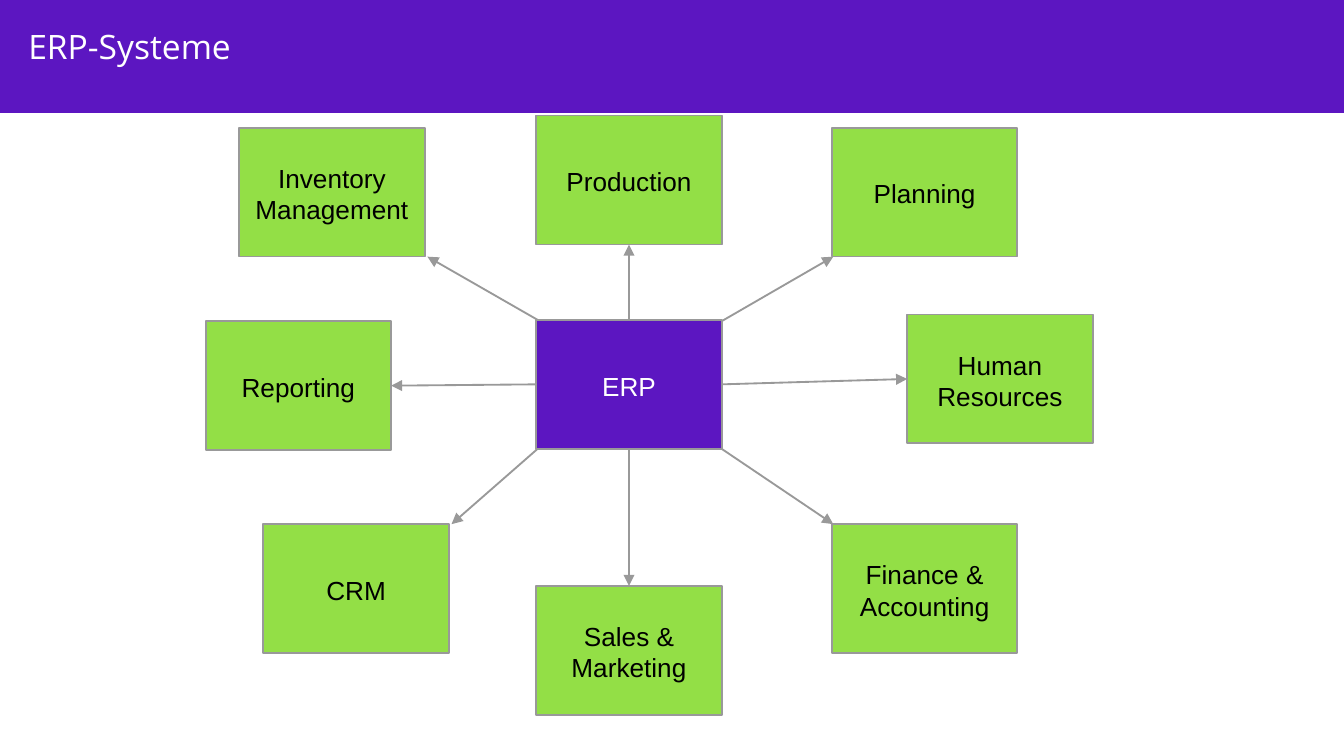
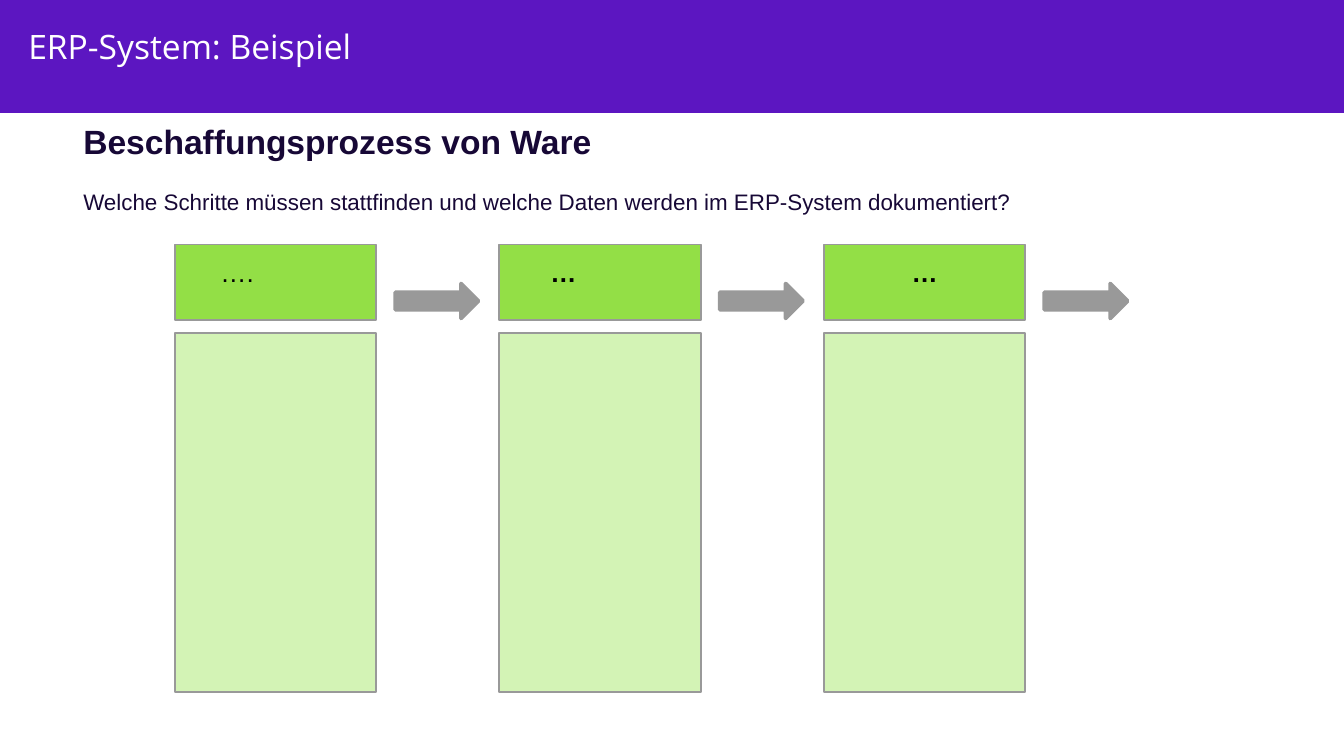
from lxml import etree
from pptx import Presentation
from pptx.dml.color import RGBColor
from pptx.enum.shapes import MSO_CONNECTOR, MSO_SHAPE
from pptx.enum.text import MSO_ANCHOR, MSO_AUTO_SIZE, PP_ALIGN
from pptx.oxml.ns import qn
from pptx.util import Inches, Pt

STRAIGHT = MSO_CONNECTOR.STRAIGHT
RECTANGLE = MSO_SHAPE.RECTANGLE
RIGHT_ARROW = MSO_SHAPE.RIGHT_ARROW
TOP, MIDDLE = MSO_ANCHOR.TOP, MSO_ANCHOR.MIDDLE
LEFT, CENTER = PP_ALIGN.LEFT, PP_ALIGN.CENTER
NO_RESIZE = MSO_AUTO_SIZE.NONE

COLORS = {
    "purple": "5C16C1",
    "green": "93DF46",
    "light_green": "D3F3B5",
    "gray": "999999",
    "navy": "170836",
    "black": "000000",
    "white": "FFFFFF",
}
PAGE_WIDTH = 10
PAGE_HEIGHT = PAGE_WIDTH * 9 / 16
BAND_HEIGHT = 0.84
TITLE_BOX = (0.19, 0.17, 5.12, 0.33)

MODULE_SIZE = (1.38, 0.96)
CORE_POSITION = (3.99, 2.38)
MODULES = {
    "Production": (3.99, 0.86),
    "Human Resources": (6.75, 2.34),
    "Finance & Accounting": (6.19, 3.9),
    "Sales & Marketing": (3.99, 4.36),
    "CRM": (1.96, 3.9),
    "Reporting": (1.53, 2.39),
    "Inventory Management": (1.78, 0.95),
    "Planning": (6.19, 0.95),
}
SIDE_LINKS = {
    "Production": (0, 2),
    "Human Resources": (3, 1),
    "Sales & Marketing": (2, 0),
    "Reporting": (1, 3),
}
CORNER_LINKS = [
    (4, 2.38, 3.18, 1.91),
    (5.37, 2.39, 6.2, 1.91),
    (5.37, 3.34, 6.2, 3.9),
    (4, 3.34, 3.36, 3.9),
]

STEPS = [
    ("….", False, LEFT, 0.34),
    ("…", True, LEFT, 0.38),
    ("…", True, CENTER, 0),
]
FIRST_STEP, LAST_STEP = 1.3, 6.13
STEP_PITCH = (LAST_STEP - FIRST_STEP) / (len(STEPS) - 1)


def rgb(color):
    return RGBColor.from_string(COLORS[color])


def inches(values):
    return [Inches(value) for value in values]


def apply(target, values):
    for name, value in values.items():
        setattr(target, name, value)


def set_frame(box, anchor, left=0, top=0.01):
    apply(box.text_frame, {
        "auto_size": NO_RESIZE,
        "word_wrap": True,
        "vertical_anchor": anchor,
        "margin_left": Inches(left),
        "margin_top": Inches(top),
        "margin_right": 0,
        "margin_bottom": 0,
    })


def write(para, text, color, size=14, bold=False, align=LEFT, font="Arial", before=0):
    apply(para, {"alignment": align, "space_before": Pt(before)})
    span = para.add_run()
    span.text = text
    apply(span.font, {"name": font, "size": Pt(size), "bold": bold})
    span.font.color.rgb = rgb(color)


def add_block(page, kind, box, fill, line="gray", width=1):
    block = page.shapes.add_shape(kind, *inches(box))
    block.shadow.inherit = False
    block.fill.solid()
    block.fill.fore_color.rgb = rgb(fill)
    if line:
        block.line.color.rgb = rgb(line)
        block.line.width = Pt(width)
    else:
        block.line.fill.background()
    return block


def add_arrow(page, points=(0, 0, 0, 0)):
    arrow = page.shapes.add_connector(STRAIGHT, *inches(points))
    arrow.line.color.rgb = rgb("gray")
    arrow.line.width = Pt(1)
    properties = arrow.element.spPr
    head = etree.SubElement(properties.find(qn("a:ln")), qn("a:tailEnd"))
    for name, value in {"type": "triangle", "w": "med", "len": "med"}.items():
        head.set(name, value)
    etree.SubElement(properties, qn("a:effectLst"))
    return arrow


def add_layout_band(layout, page):
    band = add_block(page, RECTANGLE, (0, 0, PAGE_WIDTH, BAND_HEIGHT), "purple", None)
    layout.shapes.element.insert(2, band.element)


def add_title(page, text):
    title = page.shapes.title
    apply(title, dict(zip(("left", "top", "width", "height"), inches(TITLE_BOX))))
    set_frame(title, TOP, 0.02, 0.02)
    write(title.text_frame.paragraphs[0], text, "white", 18, font="Open Sans")


def add_module(page, text, position, fill="green", color="black"):
    module = add_block(page, RECTANGLE, (*position, *MODULE_SIZE), fill)
    set_frame(module, MIDDLE, top=0.02)
    write(module.text_frame.paragraphs[0], text, color, align=CENTER)
    return module


def build_module_map(page):
    add_title(page, "ERP-Systeme")
    modules = {text: add_module(page, text, position) for text, position in MODULES.items()}
    core = add_module(page, "ERP", CORE_POSITION, "purple", "white")
    for text, (core_side, module_side) in SIDE_LINKS.items():
        arrow = add_arrow(page)
        arrow.begin_connect(core, core_side)
        arrow.end_connect(modules[text], module_side)
    for points in CORNER_LINKS:
        add_arrow(page, points)


def add_question(page, box):
    question = page.shapes.add_textbox(*inches(box))
    set_frame(question, TOP, 0.02)
    frame = question.text_frame
    write(frame.paragraphs[0], "Beschaffungsprozess von Ware", "navy", 18, True)
    write(
        frame.add_paragraph(),
        "Welche Schritte müssen stattfinden und welche Daten werden im ERP-System dokumentiert?",
        "navy", 12, before=14.5,
    )


def add_step(page, left, top, text, bold, align, indent):
    header = add_block(page, RECTANGLE, (left, top, 1.5, 0.56), "green")
    set_frame(header, TOP, indent, 0.09)
    write(header.text_frame.paragraphs[0], text, "black", bold=bold, align=align)
    add_block(page, RECTANGLE, (left, top + 0.66, 1.5, 2.67), "light_green")
    add_block(page, RIGHT_ARROW, (left + 1.64, top + 0.29, 0.62, 0.26), "gray", width=2)


def build_process(page):
    add_title(page, "ERP-System: Beispiel")
    add_question(page, (0.6, 0.89, 7.36, 0.72))
    for index, step in enumerate(STEPS):
        add_step(page, FIRST_STEP + index * STEP_PITCH, 1.82, *step)


def main():
    deck = Presentation()
    deck.slide_width, deck.slide_height = inches((PAGE_WIDTH, PAGE_HEIGHT))
    layout = deck.slide_layouts.get_by_name("Title Only")
    pages = [deck.slides.add_slide(layout) for _ in range(2)]
    add_layout_band(layout, pages[0])
    build_module_map(pages[0])
    build_process(pages[1])
    deck.save("out.pptx")


if __name__ == "__main__":
    main()
